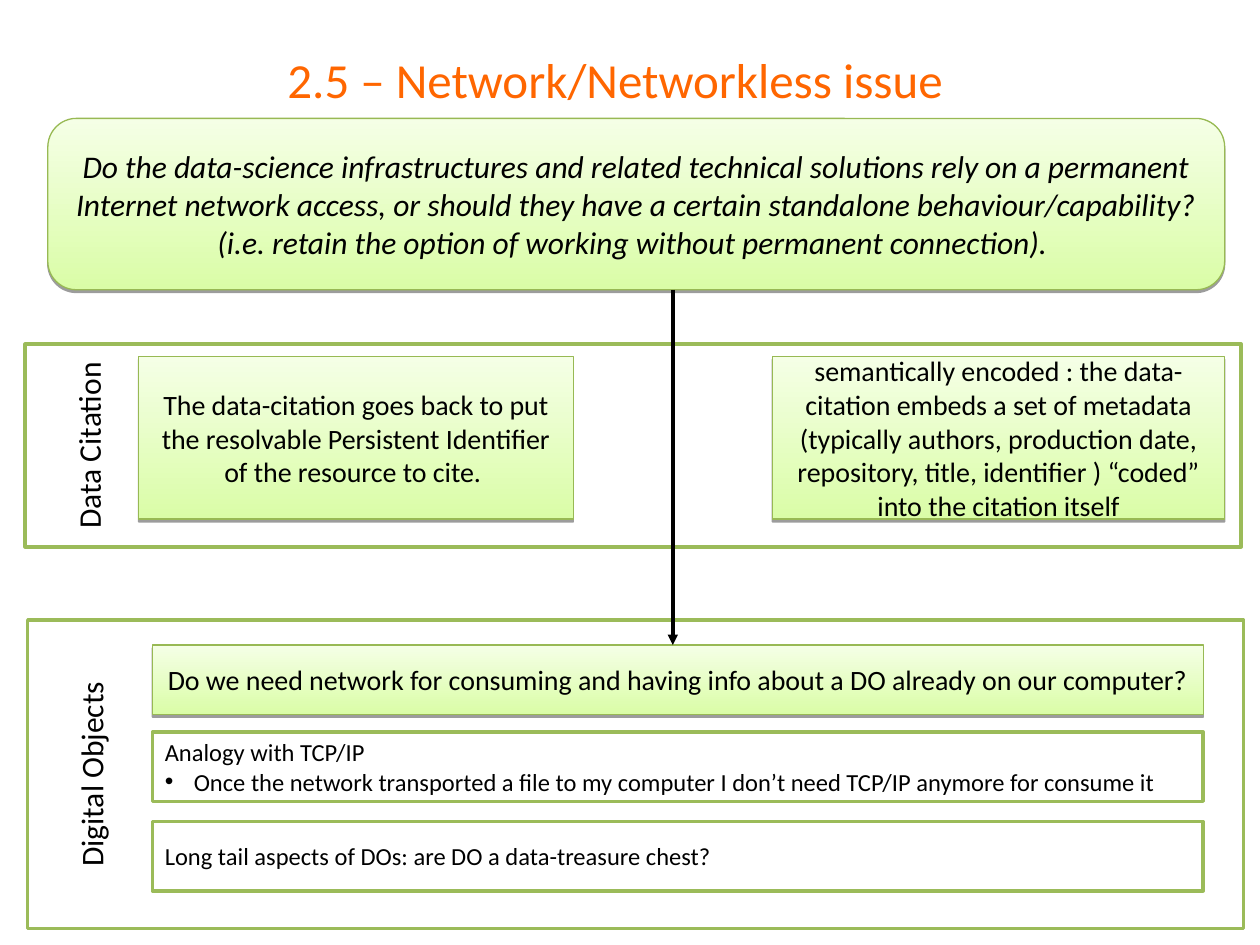
from dataclasses import dataclass

from lxml.etree import SubElement
from pptx import Presentation
from pptx.dml.color import RGBColor
from pptx.enum.shapes import MSO_CONNECTOR, MSO_SHAPE
from pptx.enum.text import MSO_ANCHOR, PP_ALIGN
from pptx.oxml.ns import qn
from pptx.shapes.autoshape import Shape
from pptx.slide import Slide
from pptx.text.text import TextFrame
from pptx.util import Inches, Pt

ORANGE = RGBColor(0xFF, 0x66, 0x00)
BLACK = RGBColor(0x00, 0x00, 0x00)
WHITE = RGBColor(0xFF, 0xFF, 0xFF)
GREEN = RGBColor(0x9B, 0xBB, 0x59)
GREEN_EDGE = RGBColor(0x98, 0xB9, 0x54)
LIME = RGBColor(0xDA, 0xFD, 0xA7)
PALE_LIME = RGBColor(0xF5, 0xFF, 0xE6)

FONT = "Calibri"
ARROW_X = 5.34
DO_LEFT, DO_WIDTH, DO_HEIGHT = 1.21, 8.34, 0.55
CITATION_TOP, CITATION_HEIGHT = 2.83, 1.29


@dataclass(frozen=True)
class Box:
    left: float
    top: float
    width: float
    height: float
    text: str
    size: int = 16
    italic: bool = False
    outline: MSO_SHAPE = MSO_SHAPE.RECTANGLE


QUESTION = Box(
    0.38, 0.94, 9.34, 1.36,
    "Do the data-science infrastructures and related technical solutions rely on a "
    "permanent Internet network access, or should they have a certain standalone "
    "behaviour/capability? (i.e. retain the option of working without permanent "
    "connection). ",
    18, True, MSO_SHAPE.ROUNDED_RECTANGLE,
)
SECTIONS = [
    Box(0.2, 2.73, 9.65, 1.61, "Data Citation", 18),
    Box(0.22, 4.92, 9.65, 2.45, "Digital Objects", 18),
]
DO_QUESTION = Box(
    DO_LEFT, 5.12, DO_WIDTH, DO_HEIGHT,
    "Do we need network for consuming and having info about a DO already on our computer?",
)
HIGHLIGHTS = [
    QUESTION,
    Box(1.1, CITATION_TOP, 3.45, CITATION_HEIGHT,
        "The data-citation goes back to put the resolvable Persistent Identifier "
        "of the resource to cite. "),
    Box(6.13, CITATION_TOP, 3.59, CITATION_HEIGHT,
        "semantically encoded : the data-citation embeds a set of metadata "
        "(typically authors, production date, repository, title, identifier ) "
        "“coded” into the citation itself"),
    DO_QUESTION,
]
ANALOGY = Box(
    DO_LEFT, 5.81, DO_WIDTH, DO_HEIGHT,
    "Analogy with TCP/IP\n"
    "Once the network transported a file to my computer I don’t need TCP/IP anymore "
    "for consume it",
    14,
)
LONG_TAIL = Box(
    DO_LEFT, 6.52, DO_WIDTH, DO_HEIGHT,
    "Long tail aspects of DOs: are DO a data-treasure chest?", 14,
)


def write(frame: TextFrame, text: str, size: int, color: RGBColor = BLACK,
          align: PP_ALIGN = PP_ALIGN.CENTER, italic: bool = False) -> None:
    frame.text = text
    frame.word_wrap = True
    frame.vertical_anchor = MSO_ANCHOR.MIDDLE
    for paragraph in frame.paragraphs:
        paragraph.alignment = align
        for run in paragraph.runs:
            run.font.name = FONT
            run.font.size = Pt(size)
            run.font.italic = italic
            run.font.color.rgb = color


def add_box(slide: Slide, box: Box, align: PP_ALIGN = PP_ALIGN.CENTER) -> Shape:
    shape = slide.shapes.add_shape(
        box.outline, Inches(box.left), Inches(box.top), Inches(box.width), Inches(box.height)
    )
    shape.shadow.inherit = False
    shape.fill.solid()
    shape.fill.fore_color.rgb = WHITE
    shape.line.color.rgb = GREEN
    shape.line.width = Pt(2)
    write(shape.text_frame, box.text, box.size, align=align, italic=box.italic)
    return shape


def add_highlight(slide: Slide, box: Box) -> None:
    shape = add_box(slide, box)
    shape.fill.gradient()
    shape.fill.gradient_angle = 90
    for stop, color in zip(shape.fill.gradient_stops, (LIME, PALE_LIME)):
        stop.color.rgb = color
    shape.line.color.rgb = GREEN_EDGE
    shape.line.width = Pt(0.75)
    effects = shape.element.spPr.find(qn("a:effectLst"))
    shadow = SubElement(effects, qn("a:outerShdw"), dist=str(Pt(1.6)),
                        dir="5400000", rotWithShape="0")
    shade = SubElement(shadow, qn("a:srgbClr"), val=str(BLACK))
    SubElement(shade, qn("a:alpha"), val="38000")


def add_section(slide: Slide, section: Box) -> None:
    center_x = section.left + section.width / 2
    center_y = section.top + section.height / 2
    upright = Box(center_x - section.height / 2, center_y - section.width / 2,
                  section.height, section.width, section.text, section.size)
    shape = add_box(slide, upright)
    shape.rotation = 270
    shape.text_frame.vertical_anchor = MSO_ANCHOR.TOP
    shape.text_frame.margin_top = Inches(0.35)


def add_bullet(frame: TextFrame, index: int) -> None:
    properties = frame.paragraphs[index]._p.get_or_add_pPr()
    properties.set("marL", str(Inches(0.23)))
    properties.set("indent", str(-Inches(0.23)))
    SubElement(properties, qn("a:buFont"), typeface="Arial")
    SubElement(properties, qn("a:buChar"), char="•")


def add_arrow(slide: Slide, x: float, top: float, bottom: float) -> None:
    arrow = slide.shapes.add_connector(
        MSO_CONNECTOR.STRAIGHT, Inches(x), Inches(top), Inches(x), Inches(bottom)
    )
    arrow.line.color.rgb = BLACK
    arrow.line.width = Pt(2)
    SubElement(arrow.line._get_or_add_ln(), qn("a:tailEnd"), type="triangle")
    SubElement(arrow._element.spPr, qn("a:effectLst"))


def main() -> None:
    presentation = Presentation()
    presentation.slide_width, presentation.slide_height = Inches(10), Inches(7.5)
    slide = presentation.slides.add_slide(presentation.slide_layouts[5])

    title = slide.shapes.title
    title.left, title.top = Inches(0), Inches(0.19)
    title.width, title.height = Inches(9.85), Inches(0.88)
    write(title.text_frame, "2.5 – Network/Networkless issue ", 28, ORANGE)

    for section in SECTIONS:
        add_section(slide, section)
    for highlight in HIGHLIGHTS:
        add_highlight(slide, highlight)
    add_arrow(slide, ARROW_X, QUESTION.top + QUESTION.height, DO_QUESTION.top)

    analogy = add_box(slide, ANALOGY, PP_ALIGN.LEFT)
    add_bullet(analogy.text_frame, 1)
    add_box(slide, LONG_TAIL, PP_ALIGN.LEFT)

    presentation.save("out.pptx")


if __name__ == "__main__":
    main()
